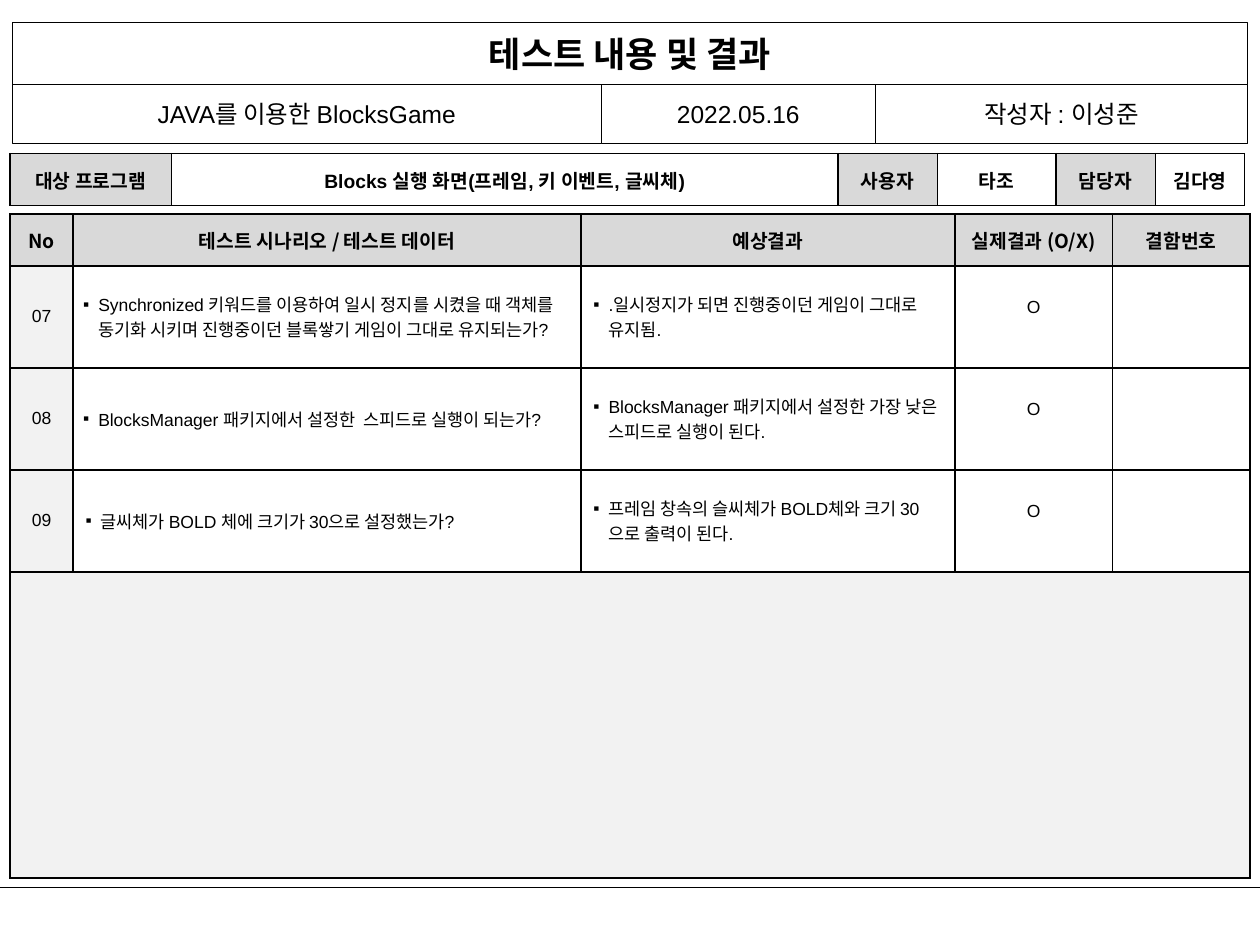
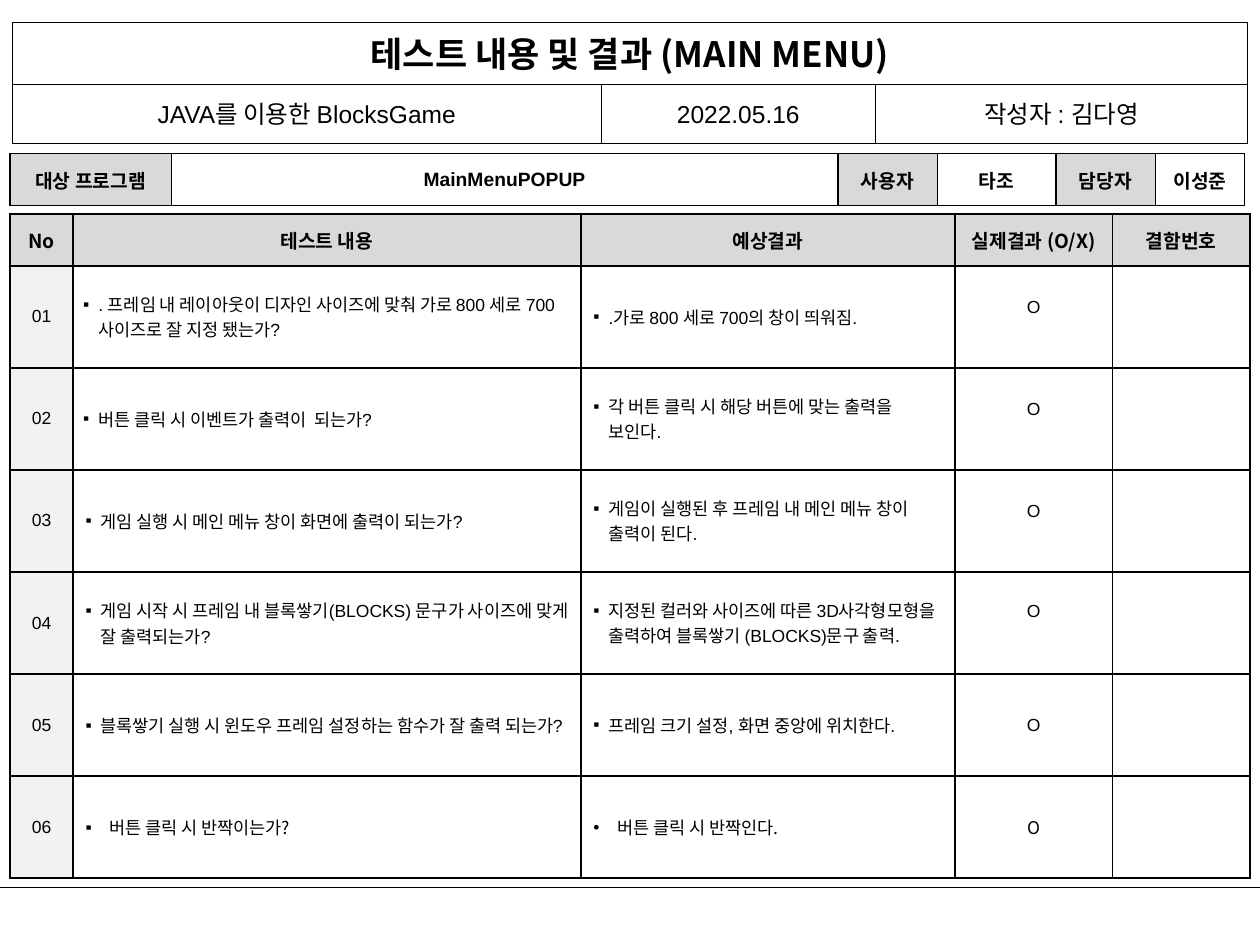
import pptx
import pptx.util
import pptx.dml.color
import pptx.enum.dml
import pptx.enum.shapes
import pptx.enum.text
import pptx.oxml
import pptx.oxml.ns
import lxml.etree

COLS = 100
INK, PAPER, HEAD, PALE = "000000", "FFFFFF", "D9D9D9", "F2F2F2"
SANS, HANGUL = "Arial", "Noto Sans CJK KR"
MID = pptx.enum.text.MSO_ANCHOR.MIDDLE
LEFT = pptx.enum.text.PP_ALIGN.LEFT
CENTER = pptx.enum.text.PP_ALIGN.CENTER
MARK, DOT = "▪", "•"


def tint(code):
    return pptx.dml.color.RGBColor.from_string(code)


def child(parent, tag, **attrs):
    return lxml.etree.SubElement(parent, pptx.oxml.ns.qn(tag), attrs)


class Report:
    def __init__(self):
        self.deck = pptx.Presentation()
        self.deck.slide_width = pptx.util.Inches(10)
        self.deck.slide_height = pptx.util.Inches(7.5)
        self.layout = self.deck.slide_layouts[5]
        self.slide = None

    def size(self, count):
        return round(self.deck.slide_width * count / COLS)

    def place(self, *counts):
        return [self.size(count) for count in counts]

    def page(self):
        first = self.slide is None
        self.slide = self.deck.slides.add_slide(self.layout)
        if first:
            self.layout.shapes.element.append(self.rule(70.4).element)

    def rule(self, row):
        kind = pptx.enum.shapes.MSO_CONNECTOR.STRAIGHT
        line = self.slide.shapes.add_connector(kind, *self.place(0, row, COLS, row))
        line.line.color.rgb = tint(INK)
        line.line.width = pptx.util.Pt(0.5)
        child(line.element.spPr, "a:effectLst")
        return line

    def label(self, frame, text, size, font=SANS, bold=False, align=CENTER):
        frame.text = text
        para = frame.paragraphs[0]
        para.alignment = align
        for run in para.runs:
            run.font.size = pptx.util.Pt(size)
            run.font.bold = bold
            run.font.color.rgb = tint(INK)
            run.font.name = font
            child(run.font._element, "a:ea", typeface=HANGUL)
        return para

    def frame(self, shape, spot, text, size, **style):
        shape.left, shape.top, shape.width, shape.height = self.place(*spot)
        shape.fill.solid()
        shape.fill.fore_color.rgb = tint(PAPER)
        shape.line.color.rgb = tint(INK)
        shape.line.width = pptx.util.Pt(0.25)
        box = shape.text_frame
        box.word_wrap = True
        box.auto_size = pptx.enum.text.MSO_AUTO_SIZE.NONE
        box.vertical_anchor = MID
        self.label(box, text, size, **style)

    def title(self, text):
        self.frame(self.slide.shapes.title, (1, 1.8, 98, 4.9), text, 20,
                   font=HANGUL, bold=True)

    def band(self, texts):
        left = 1
        for text, width in zip(texts, (46.7, 21.8, 29.5)):
            kind = pptx.enum.shapes.MSO_SHAPE.RECTANGLE
            box = self.slide.shapes.add_shape(kind, 0, 0, 0, 0)
            box.shadow.inherit = False
            self.frame(box, (left, 6.7, width, 4.7), text, 14)
            left += width

    def grid(self, top, widths, heights):
        spot = self.place(0.8, top, sum(widths), sum(heights))
        table = self.slide.shapes.add_table(len(heights), len(widths), *spot).table
        for col, width in zip(table.columns, widths):
            col.width = self.size(width)
        for row, height in zip(table.rows, heights):
            row.height = self.size(height)
        for cell in table.iter_cells():
            cell.vertical_anchor = MID
            self.edge(cell)
            cell.fill.background()
        return table

    def edge(self, cell):
        props = cell._tc.get_or_add_tcPr()
        for side in ("a:lnL", "a:lnR", "a:lnT", "a:lnB"):
            line = child(props, side, w=str(pptx.util.Pt(1)))
            child(child(line, "a:solidFill"), "a:srgbClr", val=INK)

    def shade(self, cell, code):
        cell.fill.solid()
        cell.fill.fore_color.rgb = tint(code)

    def target(self, name, owner):
        texts = ("대상 프로그램", name, "사용자", "타조", "담당자", owner)
        table = self.grid(12.2, (12.8, 52.9, 7.9, 9.4, 7.9, 7.1), (4.1,))
        for index, text in enumerate(texts):
            cell = table.cell(0, index)
            self.label(cell.text_frame, text, 11, bold=True)
            if index % 2 == 0:
                self.shade(cell, HEAD)

    def point(self, cell, text, font, mark, dent, tight):
        para = self.label(cell.text_frame, text, 10, font=font, align=LEFT)
        if tight:
            para.line_spacing = pptx.util.Pt(14)
        props = para._p.get_or_add_pPr()
        props.set("marL", str(self.size(dent)))
        props.set("indent", str(-self.size(dent)))
        child(props, "a:buFont", typeface=SANS)
        child(props, "a:buChar", char=mark)

    def tests(self, topic, cases, start):
        slots, step = 6, 8.1
        heights = [4.1] + [step] * len(cases)
        if len(cases) < slots:
            heights.append(step * (slots - len(cases)))
        table = self.grid(17, (5, 40.3, 29.7, 12.5, 10.9), heights)
        for col, text in enumerate(("No", topic, "예상결과", "실제결과 (O/X)", "결함번호")):
            cell = table.cell(0, col)
            self.shade(cell, HEAD)
            self.label(cell.text_frame, text, 11, font=HANGUL, bold=True)
        for row, (test, hope) in enumerate(cases, 1):
            last = row == slots
            font = HANGUL if last else SANS
            dent = 1.9 if last else 1.2
            code, task, goal, mark = [table.cell(row, col) for col in range(4)]
            self.shade(code, PALE)
            self.label(code.text_frame, f"{start + row - 1:02}", 10)
            self.point(task, test, font, MARK, dent, row < 3)
            if row < 3:
                task.margin_left = self.size(0.8)
            self.point(goal, hope, font, DOT if last else MARK, dent, not last)
            para = self.label(mark.text_frame, "O", 10, font=font)
            if row < 4:
                para.line_spacing = pptx.util.Pt(14)
            if row < 5:
                mark.margin_bottom = self.size(2.4)
        if len(cases) < slots:
            end = len(cases) + 1
            table.cell(end, 0).merge(table.cell(end, 4))
            self.shade(table.cell(end, 0), PALE)


PAGES = [
    dict(
        title="테스트 내용 및 결과", author="이성준", owner="김다영",
        name="Blocks 실행 화면(프레임, 키 이벤트, 글씨체)",
        topic="테스트 시나리오 / 테스트 데이터", start=7,
        cases=[
            ("Synchronized 키워드를 이용하여 일시 정지를 시켰을 때 객체를 동기화 시키며 "
             "진행중이던 블록쌓기 게임이 그대로 유지되는가?",
             ".일시정지가 되면 진행중이던 게임이 그대로 유지됨."),
            ("BlocksManager 패키지에서 설정한  스피드로 실행이 되는가?",
             "BlocksManager 패키지에서 설정한 가장 낮은 스피드로 실행이 된다."),
            ("글씨체가 BOLD 체에 크기가 30으로 설정했는가?",
             "프레임 창속의 슬씨체가 BOLD체와 크기 30으로 출력이 된다."),
        ],
    ),
    dict(
        title="테스트 내용 및 결과 (MAIN MENU)", author="김다영", owner="이성준",
        name="MainMenuPOPUP", topic="테스트 내용", start=1,
        cases=[
            (". 프레임 내 레이아웃이 디자인 사이즈에 맞춰 가로 800 세로 700 사이즈로 잘 지정 됐는가?",
             ".가로 800 세로 700의 창이 띄워짐."),
            ("버튼 클릭 시 이벤트가 출력이  되는가?",
             "각 버튼 클릭 시 해당 버튼에 맞는 출력을 보인다."),
            ("게임 실행 시 메인 메뉴 창이 화면에 출력이 되는가?",
             "게임이 실행된 후 프레임 내 메인 메뉴 창이 출력이 된다."),
            ("게임 시작 시 프레임 내 블록쌓기(BLOCKS) 문구가 사이즈에 맞게 잘 출력되는가?",
             "지정된 컬러와 사이즈에 따른 3D사각형모형을 출력하여 블록쌓기 (BLOCKS)문구 출력."),
            ("블록쌓기 실행 시 윈도우 프레임 설정하는 함수가 잘 출력 되는가?",
             "프레임 크기 설정, 화면 중앙에 위치한다."),
            ("버튼 클릭 시 반짝이는가?", "버튼 클릭 시 반짝인다."),
        ],
    ),
]

report = Report()
for page in PAGES:
    report.page()
    report.title(page["title"])
    report.band(("JAVA를 이용한 BlocksGame", "2022.05.16", f"작성자 : {page['author']}"))
    report.target(page["name"], page["owner"])
    report.tests(page["topic"], page["cases"], page["start"])
report.deck.save("out.pptx")
